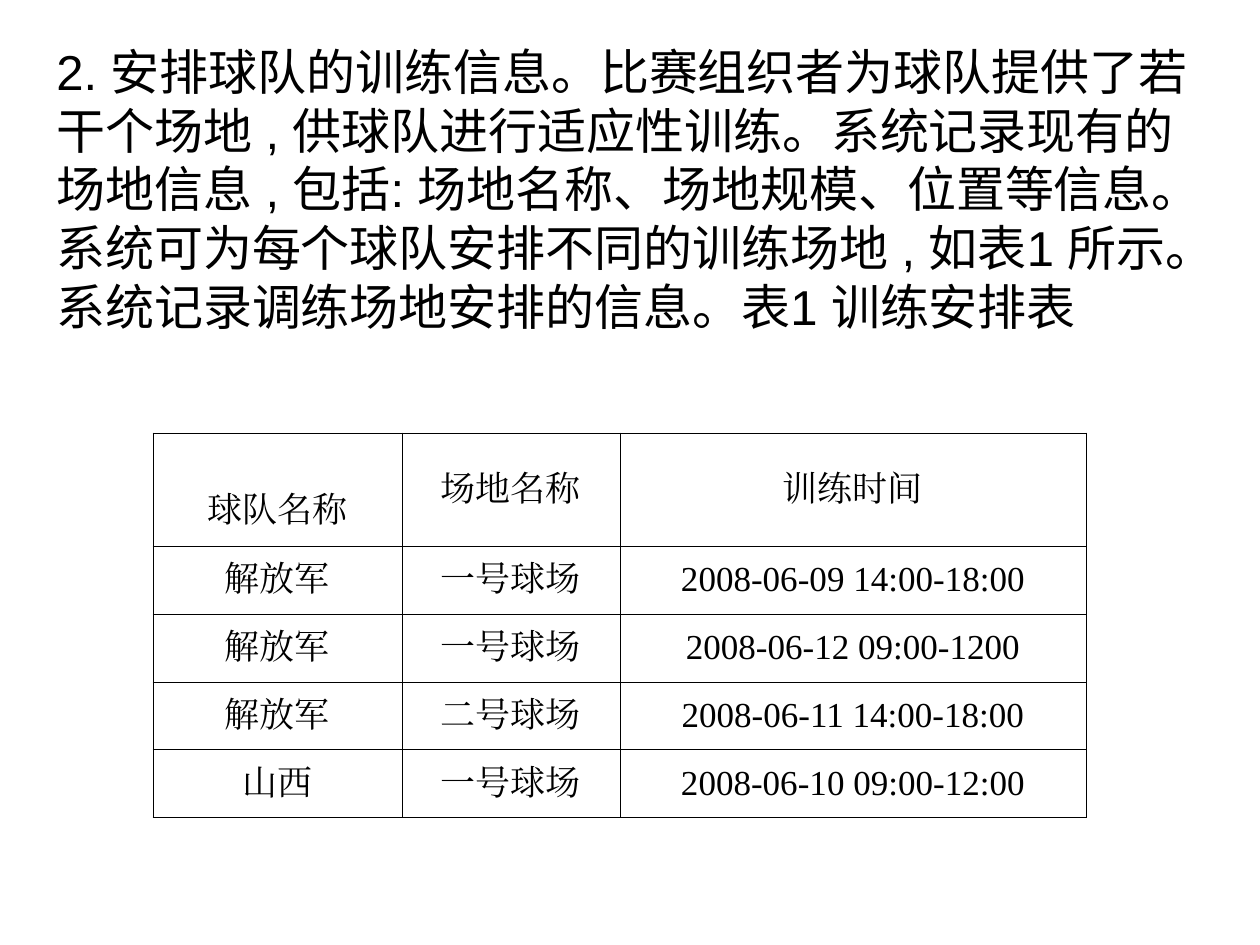
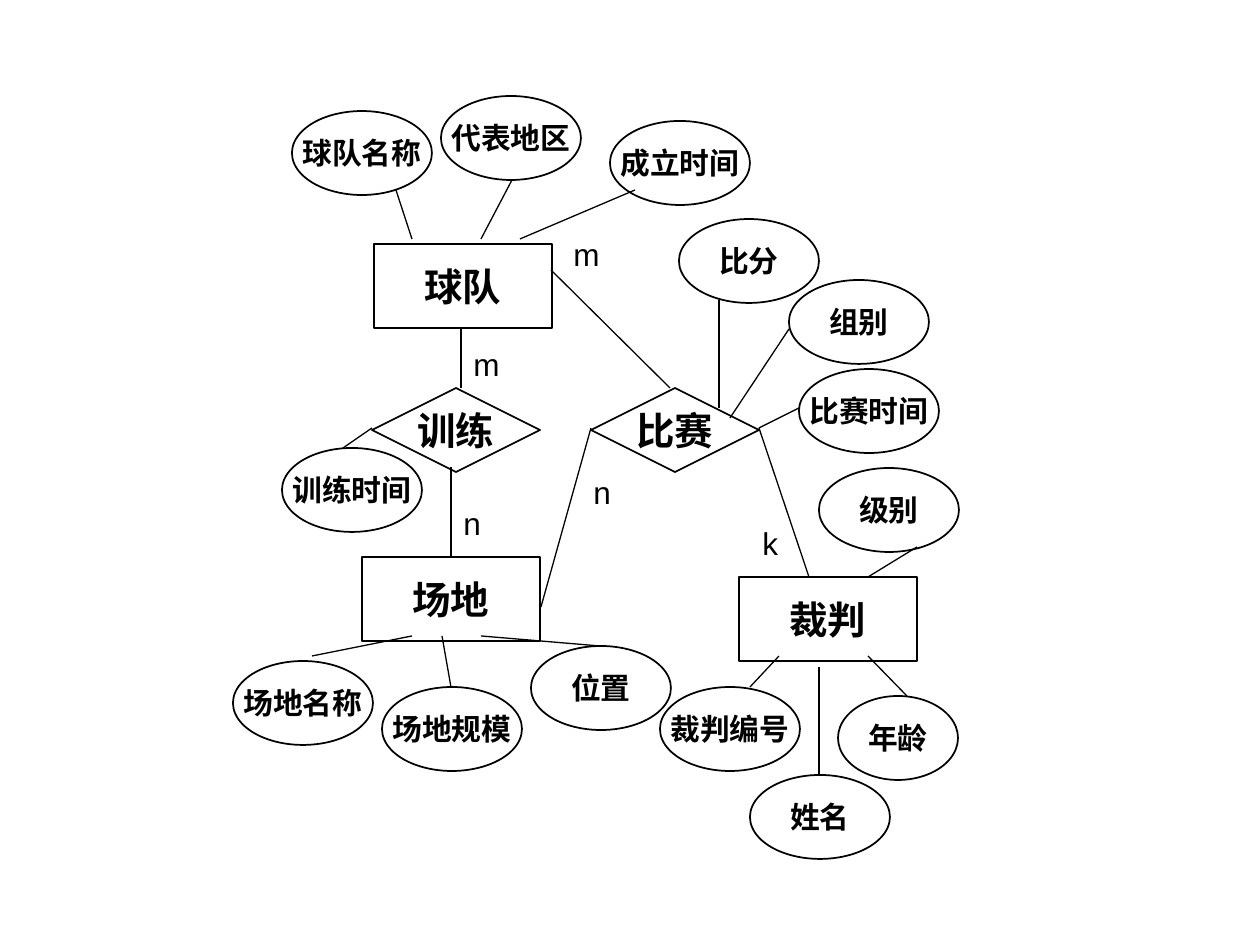
import pptx
import pptx.util
import pptx.dml.color
import pptx.enum.shapes
import pptx.enum.text
import pptx.oxml
import pptx.oxml.ns

INTRO = ("2. 安排球队的训练信息。比赛组织者为球队提供了若干个场地 , 供球队进行适应性训练。"
         "系统记录现有的场地信息 , 包括: 场地名称、场地规模、位置等信息。"
         "系统可为每个球队安排不同的训练场地 , 如表1 所示。系统记录调练场地安排的信息。表1 训练安排表")
INTRO_BOX = (44, 35, 1171, 365)

SCHEDULE = [
    ("球队名称", "场地名称", "训练时间"),
    ("解放军", "一号球场", "2008-06-09 14:00-18:00"),
    ("解放军", "一号球场", "2008-06-12 09:00-1200"),
    ("解放军", "二号球场", "2008-06-11 14:00-18:00"),
    ("山西", "一号球场", "2008-06-10 09:00-12:00"),
]
TABLE_AT = (153, 433)
COL_WIDTHS = (249, 218, 466)
HEADER_HEIGHT, ROW_HEIGHT = 113, 68
FIRST_HEADER_TOP = 49

ENTITIES = {"球队": (374, 244), "场地": (362, 557), "裁判": (739, 577)}
RELATIONS = {"训练": (372, 388), "比赛": (591, 388)}
ATTRIBUTES = {
    "代表地区": (441, 96), "球队名称": (292, 111), "成立时间": (610, 121),
    "训练时间": (282, 448), "比分": (679, 219), "组别": (789, 280), "比赛时间": (799, 369),
    "场地名称": (233, 661), "场地规模": (382, 687), "位置": (531, 646),
    "级别": (819, 468), "裁判编号": (660, 687), "姓名": (750, 775),
}
NARROW_ATTRIBUTES = {"年龄": (838, 696)}
CARDINALITIES = [("m", 461, 339), ("n", 451, 498), ("m", 561, 229), ("n", 581, 467), ("k", 750, 518)]
LINKS = [
    (396, 190, 412, 239), (512, 180, 481, 239), (520, 239, 635, 190),
    (461, 329, 461, 388), (451, 467, 451, 557), (551, 270, 670, 388),
    (591, 428, 541, 607), (759, 428, 809, 577), (372, 428, 343, 448),
    (412, 636, 312, 656), (442, 636, 451, 687), (481, 636, 600, 646),
    (917, 547, 868, 577), (779, 656, 750, 687), (819, 667, 819, 775), (868, 656, 907, 696),
    (719, 300, 719, 408), (789, 329, 730, 418), (799, 408, 759, 428),
]

COLORS = {"ink": "000000", "paper": "FFFFFF"}
INK = pptx.dml.color.RGBColor.from_string(COLORS["ink"])
SHAPE = pptx.enum.shapes.MSO_SHAPE
CENTER = pptx.enum.text.PP_ALIGN.CENTER
MIDDLE = pptx.enum.text.MSO_ANCHOR.MIDDLE
Pt = pptx.util.Pt

STYLES = {
    "intro": ({"name": "Arial", "size": Pt(28)}, {}),
    "cell": ({"name": "Times New Roman", "size": Pt(20)}, {"alignment": CENTER}),
    "node": ({"name": "Noto Sans CJK SC", "size": Pt(22), "bold": True},
             {"alignment": CENTER, "space_before": Pt(5.5)}),
    "attribute": ({"name": "Noto Sans CJK SC", "size": Pt(17), "bold": True},
                  {"alignment": CENTER, "space_before": Pt(4.2)}),
    "cardinality": ({"name": "Arial", "size": Pt(18)}, {"space_before": Pt(11.2)}),
}
NODE_GROUPS = [
    (ENTITIES, SHAPE.RECTANGLE, 178, "node"),
    (RELATIONS, SHAPE.FLOWCHART_DECISION, 168, "node"),
    (ATTRIBUTES, SHAPE.OVAL, 140, "attribute"),
    (NARROW_ATTRIBUTES, SHAPE.OVAL, 120, "attribute"),
]
NODE_HEIGHT = 84


def px(*values):
    return [round(v * 914400 / 126) for v in values]


def set_all(obj, values):
    for name, value in values.items():
        setattr(obj, name, value)


def write(tf, text, style):
    font, paragraph = STYLES[style]
    p = tf.paragraphs[0]
    set_all(p, paragraph)
    r = p.add_run()
    r.text = text
    set_all(r.font, font)
    r.font.color.rgb = INK
    ea = pptx.oxml.parse_xml(f'<a:ea {pptx.oxml.ns.nsdecls("a")} typeface="{font["name"]}"/>')
    r.font._element.append(ea)


def add_text(s, box, text, style):
    tf = s.shapes.add_textbox(*px(*box)).text_frame
    tf.word_wrap = True
    write(tf, text, style)


def add_slide(prs):
    s = prs.slides.add_slide(prs.slide_layouts[6])
    s.background.fill.solid()
    s.background.fill.fore_color.rgb = pptx.dml.color.RGBColor.from_string(COLORS["paper"])
    return s


def add_borders(cell):
    pr = cell._tc.get_or_add_tcPr()
    for i, side in enumerate(("lnL", "lnR", "lnT", "lnB")):
        pr.insert(i, pptx.oxml.parse_xml(
            f'<a:{side} {pptx.oxml.ns.nsdecls("a")} w="{Pt(0.45)}"><a:solidFill>'
            f'<a:srgbClr val="{COLORS["ink"]}"/></a:solidFill></a:{side}>'))


def add_schedule(s):
    heights = [HEADER_HEIGHT] + [ROW_HEIGHT] * (len(SCHEDULE) - 1)
    table = s.shapes.add_table(len(SCHEDULE), len(COL_WIDTHS),
                               *px(*TABLE_AT, sum(COL_WIDTHS), sum(heights))).table
    set_all(table, {"first_row": False, "horz_banding": False})
    for col, width in zip(table.columns, px(*COL_WIDTHS)):
        col.width = width
    for row, height, texts in zip(table.rows, px(*heights), SCHEDULE):
        row.height = height
        for cell, text in zip(row.cells, texts):
            cell.vertical_anchor = MIDDLE
            cell.fill.background()
            add_borders(cell)
            write(cell.text_frame, text, "cell")
    table.cell(0, 0).margin_top = px(FIRST_HEADER_TOP)[0]


def add_node(s, kind, box, text, style):
    sp = s.shapes.add_shape(kind, *px(*box))
    sp.shadow.inherit = False
    sp.fill.background()
    sp.line.color.rgb = INK
    sp.line.width = Pt(1)
    margin_x, margin_y = px(14, 6)
    set_all(sp.text_frame, {"word_wrap": False, "vertical_anchor": MIDDLE,
                            "margin_left": margin_x, "margin_right": margin_x,
                            "margin_top": margin_y, "margin_bottom": margin_y})
    write(sp.text_frame, text, style)


def add_link(s, ends):
    c = s.shapes.add_connector(pptx.enum.shapes.MSO_CONNECTOR.STRAIGHT, *px(*ends))
    c.line.color.rgb = INK
    c.line.width = Pt(0.75)
    c._element.spPr.append(pptx.oxml.parse_xml(f'<a:effectLst {pptx.oxml.ns.nsdecls("a")}/>'))


def main():
    prs = pptx.Presentation()
    prs.slide_width, prs.slide_height = px(1260, 945)

    s = add_slide(prs)
    add_text(s, INTRO_BOX, INTRO, "intro")
    add_schedule(s)

    s = add_slide(prs)
    for nodes, kind, width, style in NODE_GROUPS:
        for text, (x, y) in nodes.items():
            add_node(s, kind, (x, y, width, NODE_HEIGHT), text, style)
    for ends in LINKS:
        add_link(s, ends)
    for text, x, y in CARDINALITIES:
        add_text(s, (x, y, 49, 50), text, "cardinality")

    prs.save("out.pptx")


if __name__ == "__main__":
    main()
